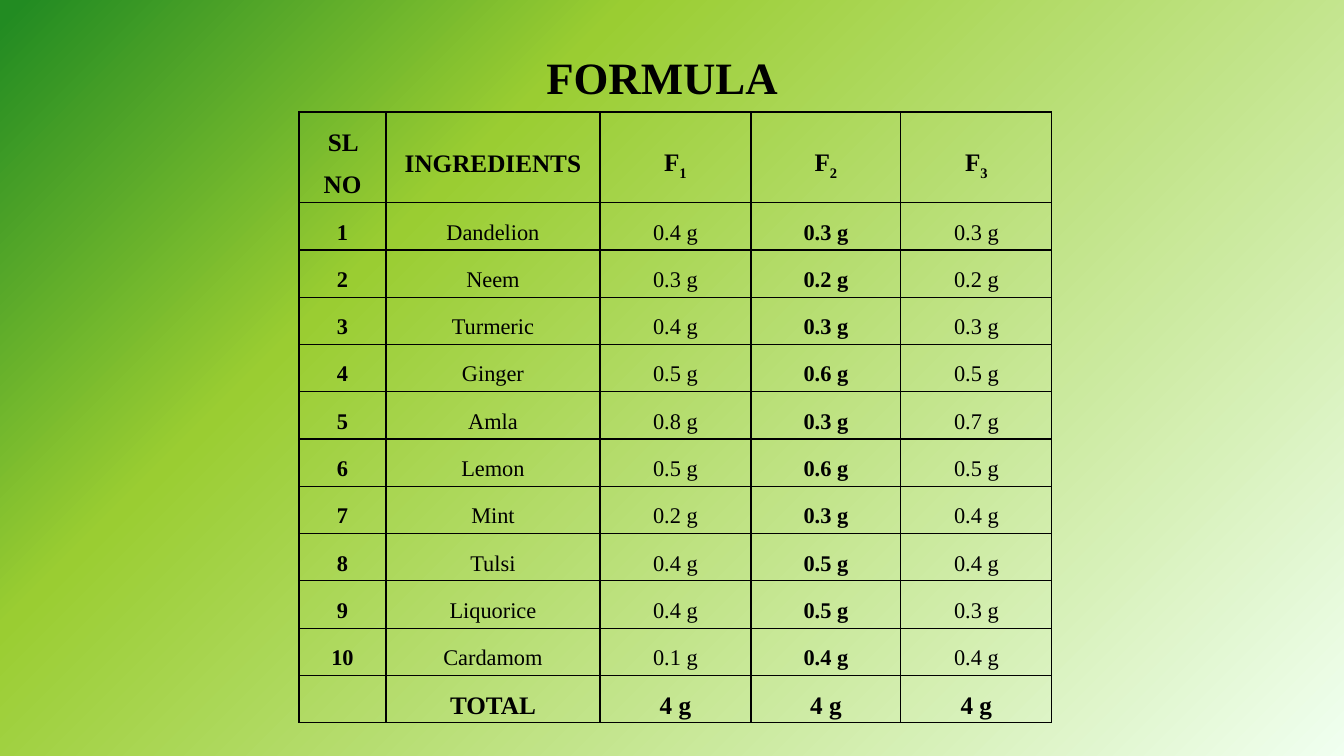
from copy import deepcopy
from dataclasses import dataclass

from lxml.etree import SubElement
from pptx import Presentation
from pptx.dml.color import RGBColor
from pptx.enum.text import MSO_ANCHOR, PP_ALIGN
from pptx.oxml.ns import qn
from pptx.slide import Slide
from pptx.table import _Cell
from pptx.text.text import _Paragraph
from pptx.util import Emu, Pt

EMU_PER_PX = 914400 / 100.8
FONT = "Times New Roman"
BLACK = "000000"
GRADIENT = ((0.01, "228B22"), (0.3, "9ACD32"), (1, "F0FFF0"))
COLUMN_WIDTHS = (87, 214, 151, 150, 151)
HEADER_HEIGHT = 90
BODY_HEIGHT = 520
CELL_MARGIN = 7
INGREDIENTS = (
    ("Dandelion", 0.4, 0.3, 0.3),
    ("Neem", 0.3, 0.2, 0.2),
    ("Turmeric", 0.4, 0.3, 0.3),
    ("Ginger", 0.5, 0.6, 0.5),
    ("Amla", 0.8, 0.3, 0.7),
    ("Lemon", 0.5, 0.6, 0.5),
    ("Mint", 0.2, 0.3, 0.4),
    ("Tulsi", 0.4, 0.5, 0.4),
    ("Liquorice", 0.4, 0.5, 0.3),
    ("Cardamom", 0.1, 0.4, 0.4),
)


@dataclass(frozen=True)
class Entry:
    """Text of one table cell."""

    text: str
    size: int = 18
    bold: bool = True
    subscript: str = ""


def px(length: float) -> Emu:
    """Turn px into EMU."""
    return Emu(round(length * EMU_PER_PX))


def color(value: str) -> RGBColor:
    """Turn a hex string into a colour."""
    return RGBColor.from_string(value)


def apply_format(target: object, values: dict) -> None:
    """Set each named attribute on the target."""
    for name, value in values.items():
        setattr(target, name, value)


def add_run(paragraph: _Paragraph, text: str, size: int, bold: bool, baseline: int = 0) -> None:
    """Add a run of black text, raised or lowered by a percentage."""
    run = paragraph.add_run()
    run.text = text
    apply_format(run.font, {"name": FONT, "size": Pt(size), "bold": bold})
    run.font.color.rgb = color(BLACK)
    if baseline:
        run._r.get_or_add_rPr().set("baseline", str(baseline * 1000))


def paint_background(slide: Slide) -> None:
    """Fill the slide with the diagonal green gradient."""
    fill = slide.background.fill
    fill.gradient()
    fill.gradient_angle = 315
    stop_list = next(slide._element.iter(qn("a:gsLst")))
    stop_list.append(deepcopy(stop_list[-1]))
    for stop, (position, value) in zip(fill.gradient_stops, GRADIENT):
        stop.position = position
        stop.color.rgb = color(value)


def add_title(slide: Slide) -> None:
    """Add the heading above the table."""
    frame = slide.shapes.add_textbox(px(297), px(43), px(739), px(65)).text_frame
    apply_format(frame, {"word_wrap": True, "vertical_anchor": MSO_ANCHOR.BOTTOM})
    paragraph = frame.paragraphs[0]
    paragraph.alignment = PP_ALIGN.CENTER
    add_run(paragraph, "FORMULA ", 32, True)


def add_borders(cell: _Cell) -> None:
    """Draw a thin black line on every side of the cell."""
    properties = cell._tc.get_or_add_tcPr()
    for side in ("lnL", "lnR", "lnT", "lnB"):
        line = SubElement(properties, qn(f"a:{side}"), w=str(Pt(1)))
        fill = SubElement(line, qn("a:solidFill"))
        SubElement(fill, qn("a:srgbClr"), val=BLACK)


def fill_cell(cell: _Cell, entry: Entry) -> None:
    """Format a cell and write its entry."""
    add_borders(cell)
    cell.fill.background()
    apply_format(cell, {
        "vertical_anchor": MSO_ANCHOR.MIDDLE,
        "margin_left": px(CELL_MARGIN),
        "margin_right": px(CELL_MARGIN),
        "margin_top": 0,
        "margin_bottom": 0,
    })
    paragraph = cell.text_frame.paragraphs[0]
    apply_format(paragraph, {"alignment": PP_ALIGN.CENTER, "line_spacing": 1.5})
    if entry.text:
        add_run(paragraph, entry.text, entry.size, entry.bold)
    if entry.subscript:
        add_run(paragraph, entry.subscript, entry.size, entry.bold, -25)


def formula_rows() -> list[list[Entry]]:
    """List the header, ingredient and total rows."""
    header = [Entry("SL NO"), Entry("INGREDIENTS")]
    header += [Entry("F", subscript=str(number)) for number in (1, 2, 3)]
    rows = [header]
    for number, (name, *amounts) in enumerate(INGREDIENTS, start=1):
        texts = [str(number), name, *(f"{amount} g" for amount in amounts)]
        rows.append([Entry(text, 16, column in (0, 3)) for column, text in enumerate(texts)])
    rows.append([Entry(text) for text in ("", "TOTAL", "4 g", "4 g", "4 g")])
    return rows


def add_formula_table(slide: Slide) -> None:
    """Add the table of ingredients and amounts."""
    rows = formula_rows()
    table = slide.shapes.add_table(
        len(rows), len(COLUMN_WIDTHS), px(299), px(112),
        px(sum(COLUMN_WIDTHS)), px(HEADER_HEIGHT + BODY_HEIGHT),
    ).table
    apply_format(table, {"first_row": False, "horz_banding": False})
    for column, width in zip(table.columns, COLUMN_WIDTHS):
        column.width = px(width)
    for index, (row, entries) in enumerate(zip(table.rows, rows)):
        row.height = px(BODY_HEIGHT / (len(rows) - 1) if index else HEADER_HEIGHT)
        for cell, entry in zip(row.cells, entries):
            fill_cell(cell, entry)


def main() -> None:
    """Build and save the slide."""
    presentation = Presentation()
    apply_format(presentation, {"slide_width": px(1344), "slide_height": px(756)})
    slide = presentation.slides.add_slide(presentation.slide_layouts[6])
    paint_background(slide)
    add_title(slide)
    add_formula_table(slide)
    presentation.save("out.pptx")


if __name__ == "__main__":
    main()
